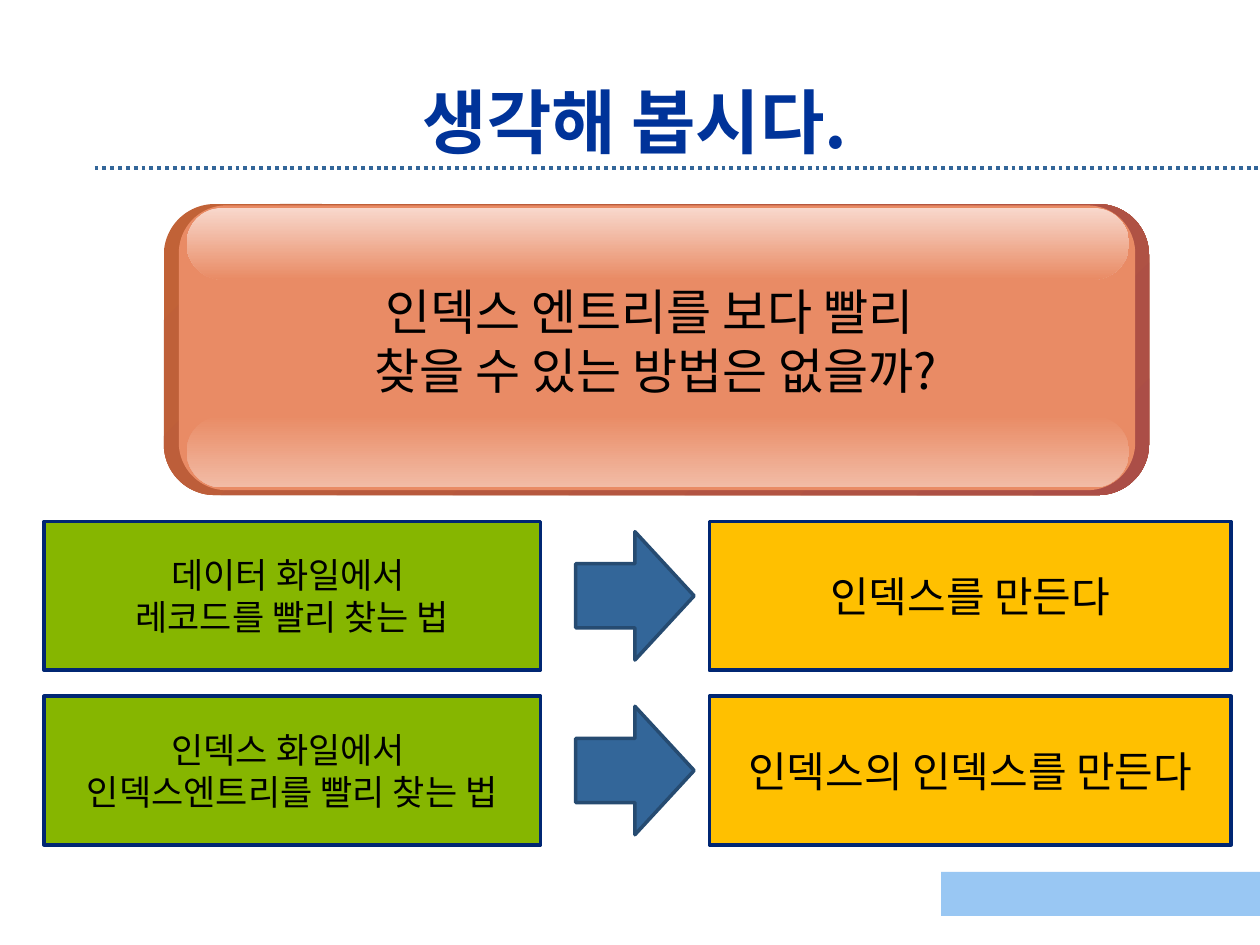
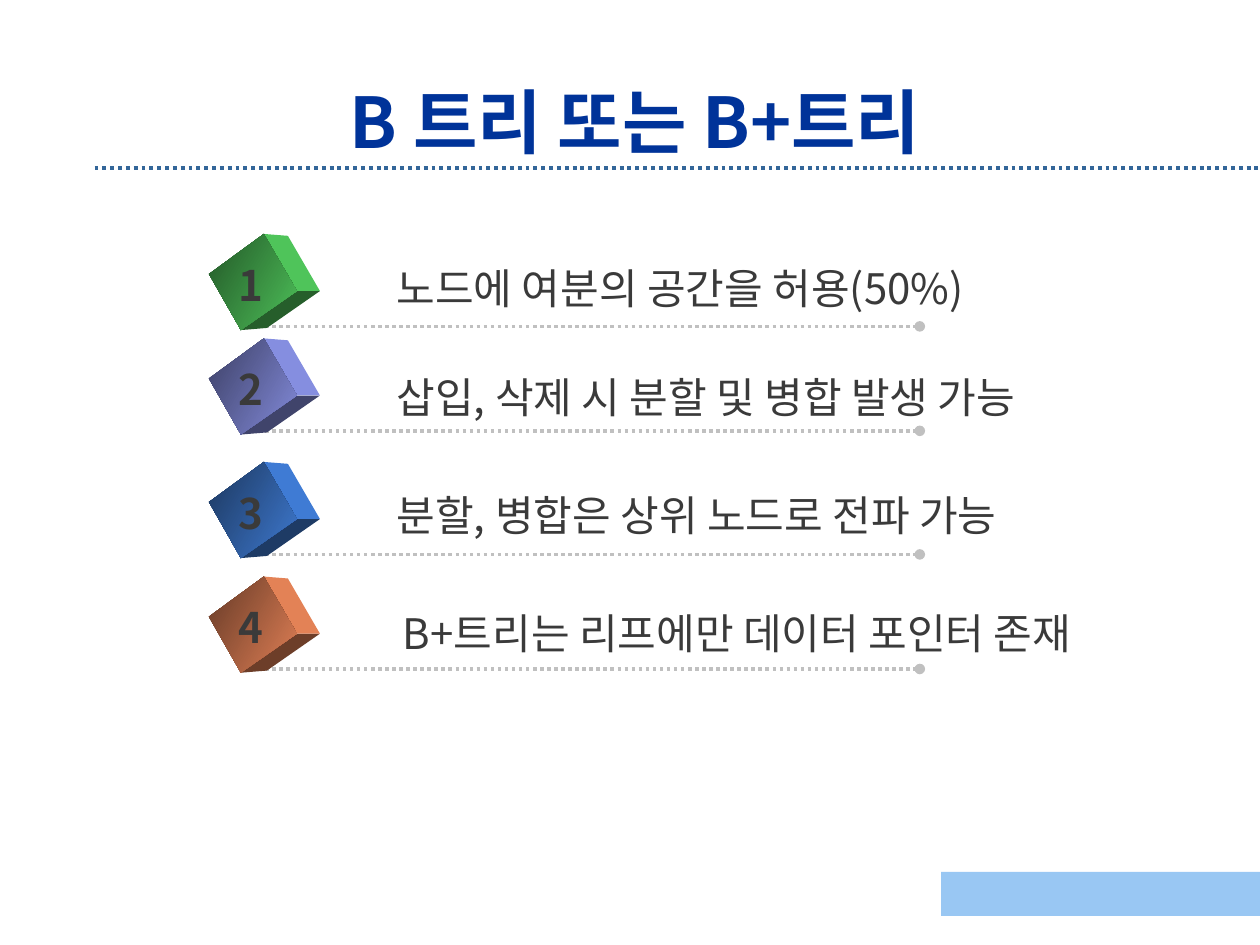
from typing import NamedTuple

from lxml import etree
from pptx import Presentation
from pptx.dml.color import RGBColor
from pptx.enum.dml import MSO_LINE
from pptx.enum.shapes import MSO_CONNECTOR, MSO_SHAPE
from pptx.enum.text import MSO_ANCHOR, MSO_AUTO_SIZE, PP_ALIGN
from pptx.oxml.ns import qn
from pptx.util import Pt

RECT, ROUNDED = MSO_SHAPE.RECTANGLE, MSO_SHAPE.ROUNDED_RECTANGLE
ARROW = MSO_SHAPE.RIGHT_ARROW
STRAIGHT = MSO_CONNECTOR.STRAIGHT
DOTTED = MSO_LINE.ROUND_DOT
MIDDLE = MSO_ANCHOR.MIDDLE
LEFT, CENTER = PP_ALIGN.LEFT, PP_ALIGN.CENTER
NO_FIT = MSO_AUTO_SIZE.NONE

FONT = "Noto Sans CJK KR"
NAVY, STEEL, SKY = "003399", "336699", "99C7F3"
BLACK, CHARCOAL, SILVER = "000000", "3A3A3A", "C0C0C0"
GREEN, AMBER, BORDER, ARROW_EDGE = "86B600", "FFC000", "002673", "264B71"
CORAL = "E98B65"
SLIDE_WIDTH, SLIDE_HEIGHT = 720, 540
TITLE_ONLY = 5


class Box(NamedTuple):
    left: float
    top: float
    width: float
    height: float


class Gradient(NamedTuple):
    start: str
    end: str
    angle: float  # clockwise degrees


class BannerLayer(NamedTuple):
    box: Box
    rounding: float
    fill: str | Gradient


class Method(NamedTuple):
    goal: str
    answer: str


class Feature(NamedTuple):
    rule_y: float
    text_left: float
    text_top: float
    color: str
    text: str


BANNER_LAYERS = [
    BannerLayer(Box(93.6, 116.6, 563, 166.3), 0.175, Gradient("C16237", "AB4E47", 45)),
    BannerLayer(Box(102.2, 117.4, 546.5, 162.7), 0.167, CORAL),
    BannerLayer(Box(106.6, 237.6, 538.6, 41), 0.5, Gradient(CORAL, "F2BCA6", 90)),
    BannerLayer(Box(106.6, 118.8, 538.6, 41), 0.5, Gradient("F8D8CC", CORAL, 90)),
]
METHODS = [
    Method("데이터 화일에서 \n레코드를 빨리 찾는 법", "인덱스를 만든다"),
    Method("인덱스 화일에서 \n인덱스엔트리를 빨리 찾는 법", "인덱스의 인덱스를 만든다"),
]
METHOD_TOP, METHOD_PITCH, METHOD_HEIGHT = 298, 99.8, 85

FEATURES = [
    Feature(186.5, 219.6, 146.2, "54D060", "노드에 여분의 공간을 허용(50%)"),
    Feature(246.2, 219.6, 208.1, "8E97EE", "삽입, 삭제 시 분할 및 병합 발생 가능"),
    Feature(316.8, 219.6, 275.8, "4383E1", "분할, 병합은 상위 노드로 전파 가능"),
    Feature(382.3, 223.2, 343.4, "F28A5C", "B+트리는 리프에만 데이터 포인터 존재"),
]
# Cube faces, measured from the cube's top left corner
CUBE_LEFT, CUBE_RISE = 119.4, 52.8
FRONT_FACE = [(0, 22.9), (31.4, 0), (50.3, 32.6), (18.3, 54.9)]
RIGHT_FACE = [(31.4, 0), (45.1, 1.1), (63.4, 32.6), (50.3, 32.6)]
BOTTOM_FACE = [(50.3, 32.6), (63.4, 32.6), (33.1, 53.7), (18.3, 54.9)]


def rgb(color: str) -> RGBColor:
    return RGBColor.from_string(color)


def shade(color: str, factor: float) -> str:
    return "".join(f"{round(part * factor):02X}" for part in rgb(color))


def paint(shape, fill: str | Gradient, line: str | None = None) -> None:
    shape.shadow.inherit = False
    if isinstance(fill, Gradient):
        shape.fill.gradient()
        shape.fill.gradient_angle = (360 - fill.angle) % 360
        for stop, color, position in zip(shape.fill.gradient_stops, fill[:2], (0, 1)):
            stop.color.rgb = rgb(color)
            stop.position = position
    else:
        shape.fill.solid()
        shape.fill.fore_color.rgb = rgb(fill)
    if line:
        shape.line.color.rgb = rgb(line)
        shape.line.width = Pt(2)
    else:
        shape.line.fill.background()


def add_block(slide, kind, box: Box, fill: str | Gradient, line: str | None = None):
    block = slide.shapes.add_shape(kind, *map(Pt, box))
    paint(block, fill, line)
    return block


def write(frame, text: str, *, size: float, color: str = BLACK, bold: bool = False,
          align=CENTER) -> None:
    frame.word_wrap = True
    frame.auto_size = NO_FIT
    frame.vertical_anchor = MIDDLE
    lines = text.split("\n")
    for index, line in enumerate(lines):
        paragraph = frame.add_paragraph() if index else frame.paragraphs[0]
        paragraph.alignment = align
        if len(lines) > 1:
            paragraph.line_spacing = Pt(size * 1.2)
        run = paragraph.add_run()
        run.text = line
        run.font.size, run.font.bold = Pt(size), bold
        run.font.color.rgb = rgb(color)
        run.font.name = FONT
        etree.SubElement(run.font._element, qn("a:ea"), typeface=FONT)


def add_label(slide, box: Box, text: str, **text_format) -> None:
    label = slide.shapes.add_textbox(*map(Pt, box))
    write(label.text_frame, text, **text_format)


def add_dotted_rule(slide, left: float, right: float, y: float, color: str,
                    width: float, dot_end: bool = False) -> None:
    rule = slide.shapes.add_connector(STRAIGHT, Pt(left), Pt(y), Pt(right), Pt(y))
    rule.line.color.rgb = rgb(color)
    rule.line.width = Pt(width)
    rule.line.dash_style = DOTTED
    if dot_end:
        etree.SubElement(rule.line._get_or_add_ln(), qn("a:tailEnd"), type="oval")
    etree.SubElement(rule._element.spPr, qn("a:effectLst"))


def add_titled_slide(deck, title: str):
    slide = deck.slides.add_slide(deck.slide_layouts[TITLE_ONLY])
    add_dotted_rule(slide, 54, SLIDE_WIDTH, 95.8, STEEL, 2.25)
    add_block(slide, RECT, Box(537.8, 498.2, SLIDE_WIDTH - 537.8, 25.2), SKY)
    heading = slide.shapes.title
    heading.left, heading.top, heading.width, heading.height = map(
        Pt, Box(54, 48.2, 617.8, 41.8))
    write(heading.text_frame, title, size=40, color=NAVY, bold=True)
    return slide


def add_face(slide, corners: list, top: float, fill: str | Gradient) -> None:
    points = [(Pt(CUBE_LEFT + x), Pt(top + y)) for x, y in corners]
    builder = slide.shapes.build_freeform(*points[0])
    builder.add_line_segments(points[1:], close=True)
    paint(builder.convert_to_shape(), fill)


def add_method(slide, method: Method, top: float) -> None:
    goal = add_block(slide, RECT, Box(25.2, top, 283.7, METHOD_HEIGHT), GREEN, BORDER)
    write(goal.text_frame, method.goal, size=20)
    add_block(slide, ARROW, Box(329, top + 5.8, 67.7, 73.4), STEEL, ARROW_EDGE)
    answer = add_block(slide, RECT, Box(405.4, top, 298.1, METHOD_HEIGHT), AMBER, BORDER)
    write(answer.text_frame, method.answer, size=24)


def add_feature(slide, number: int, feature: Feature) -> None:
    color, cube_top = feature.color, feature.rule_y - CUBE_RISE
    add_dotted_rule(slide, 147.6, 525.6, feature.rule_y, SILVER, 2, dot_end=True)
    add_face(slide, BOTTOM_FACE, cube_top, shade(color, 0.45))
    add_face(slide, RIGHT_FACE, cube_top, shade(color, 0.94))
    add_face(slide, FRONT_FACE, cube_top, Gradient(shade(color, 0.42), shade(color, 0.92), 30))
    add_label(slide, Box(feature.text_left, feature.text_top, 460, 36.7), feature.text,
              size=24, color=CHARCOAL, align=LEFT)
    add_label(slide, Box(128.5, feature.rule_y - 42.3, 30, 36.7), str(number),
              size=24, color=CHARCOAL, bold=True)


def build_question_slide(deck) -> None:
    slide = add_titled_slide(deck, "생각해 봅시다.")
    # Glossy banner with the question
    for layer in BANNER_LAYERS:
        plate = add_block(slide, ROUNDED, layer.box, layer.fill)
        plate.adjustments[0] = layer.rounding
    add_label(slide, Box(99.4, 157, 550, 75),
              "인덱스 엔트리를 보다 빨리 \n찾을 수 있는 방법은 없을까?", size=28)
    # Goals and their answers
    for row, method in enumerate(METHODS):
        add_method(slide, method, METHOD_TOP + row * METHOD_PITCH)


def build_tree_slide(deck) -> None:
    slide = add_titled_slide(deck, "B 트리 또는 B+트리")
    for number, feature in enumerate(FEATURES, start=1):
        add_feature(slide, number, feature)


def main() -> None:
    deck = Presentation()
    deck.slide_width, deck.slide_height = Pt(SLIDE_WIDTH), Pt(SLIDE_HEIGHT)
    build_question_slide(deck)
    build_tree_slide(deck)
    deck.save("out.pptx")


if __name__ == "__main__":
    main()
